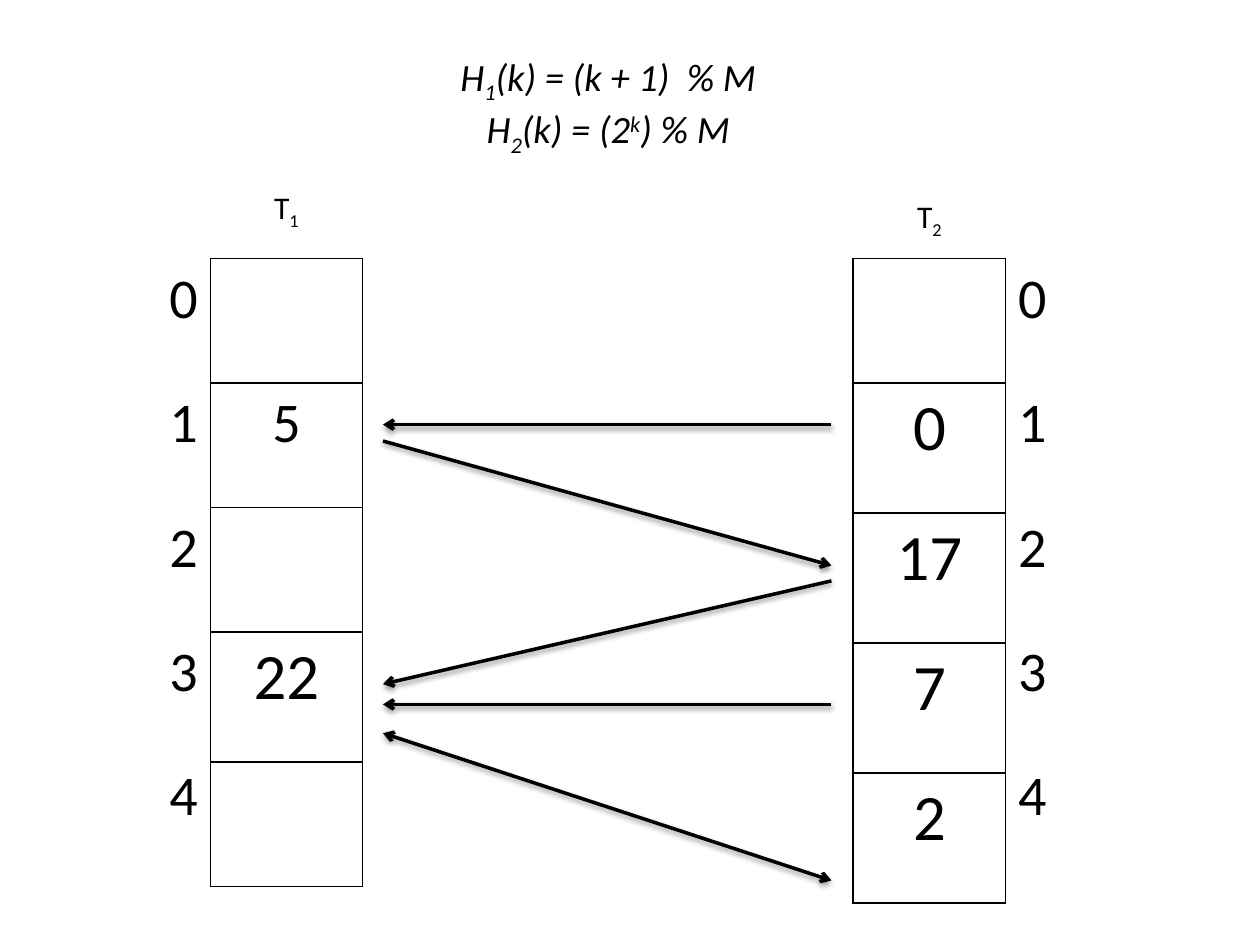
from lxml.etree import SubElement
from pptx import Presentation
from pptx.dml.color import RGBColor
from pptx.enum.shapes import MSO_CONNECTOR
from pptx.enum.text import MSO_AUTO_SIZE, PP_ALIGN as Align
from pptx.oxml import parse_xml
from pptx.oxml.ns import nsdecls, qn
from pptx.util import Cm, Pt

BLACK = RGBColor(0, 0, 0)
PLAIN_GRID = "{2D5ABB26-0587-4C30-8999-92F81FD0307C}"
SUB, SUPER = -25000, 30000


def write(frame, *lines, size, align=Align.CENTER, italic=None):
    for index, line in enumerate(lines):
        paragraph = frame.paragraphs[0] if index == 0 else frame.add_paragraph()
        paragraph.alignment = align
        for words, baseline in line:
            run = paragraph.add_run()
            run.text = words
            run.font.name = "Calibri"
            run.font.size = Pt(size)
            run.font.italic = italic
            run.font.color.rgb = BLACK
            if baseline:
                run.font._element.set("baseline", str(baseline))


deck = Presentation()
deck.slide_width, deck.slide_height = Cm(25.4), Cm(19.05)
slide = deck.slides.add_slide(deck.slide_layouts[6])

column_width, table_top = 3.07, 5.21
short, tall = 2.51, 2.62
first_left, second_left = 4.24, 17.2

hash_one = [("H", 0), ("1", SUB), ("(k) = (k + 1)  % M", 0)]
hash_two = [("H", 0), ("2", SUB), ("(k) = (2", 0), ("k", SUPER), (") % M", 0)]
headings = [
    (7.32, 0.94, 9.88, 2.13, [hash_one, hash_two], 22, True),
    (first_left, 3.66, column_width, 1.02, [[("T", 0), ("1", SUB)]], 18, None),
    (second_left, 3.84, column_width, 1.02, [[("T", 0), ("2", SUB)]], 18, None),
]
for left, top, width, height, lines, size, italic in headings:
    frame = slide.shapes.add_textbox(Cm(left), Cm(top), Cm(width), Cm(height)).text_frame
    frame.word_wrap = True
    frame.auto_size = MSO_AUTO_SIZE.SHAPE_TO_FIT_TEXT
    write(frame, *lines, size=size, italic=italic)

indices = [(str(slot), 32) for slot in range(5)]
first_keys = [("", 0), ("5", 32), ("", 0), ("22", 37), ("", 0)]
second_keys = [("", 0), ("0", 37), ("17", 37), ("7", 37), ("2", 37)]
columns = [
    (first_left, first_keys, Align.CENTER, True),
    (first_left - column_width, indices, Align.RIGHT, False),
    (second_left, second_keys, Align.CENTER, True),
    (second_left + column_width, indices, Align.LEFT, False),
]
for left, entries, align, bordered in columns:
    heights = [tall if size == 37 else short for _, size in entries]
    table = slide.shapes.add_table(
        len(entries), 1, Cm(left), Cm(table_top), Cm(column_width), Cm(sum(heights))
    ).table
    table.first_row = table.horz_banding = False
    table._tbl.tblPr.find(qn("a:tableStyleId")).text = PLAIN_GRID
    for row, height, (key, size) in zip(table.rows, heights, entries):
        row.height = Cm(height)
        cell = row.cells[0]
        if bordered:
            for side in ("lnL", "lnR", "lnT", "lnB"):
                border = SubElement(cell._tc.get_or_add_tcPr(), qn(f"a:{side}"), w=str(Pt(1)))
                fill = SubElement(border, qn("a:solidFill"))
                SubElement(fill, qn("a:srgbClr"), val=str(BLACK))
        cell.fill.background()
        if key:
            write(cell.text_frame, [(key, 0)], size=size, align=align)

near_first, near_second = 7.72, 16.76
moves = [
    (near_first, 8.89, near_second, 11.4, ["tailEnd"]),
    (near_second, 8.56, near_first, 8.56, ["tailEnd"]),
    (near_second, 11.71, near_first, 13.79, ["tailEnd"]),
    (near_second, 17.75, near_first, 14.78, ["headEnd", "tailEnd"]),
    (near_second, 14.2, near_first, 14.2, ["tailEnd"]),
]
for start_x, start_y, end_x, end_y, ends in moves:
    arrow = slide.shapes.add_connector(
        MSO_CONNECTOR.STRAIGHT, Cm(start_x), Cm(start_y), Cm(end_x), Cm(end_y)
    )
    arrow.line.color.rgb = BLACK
    arrow.line.width = Pt(2)
    for end in ends:
        SubElement(arrow.line._get_or_add_ln(), qn(f"a:{end}"), type="arrow")
    arrow._element.spPr.append(parse_xml(
        f'<a:effectLst {nsdecls("a")}>'
        '<a:outerShdw blurRad="40000" dist="20000" dir="5400000" rotWithShape="0">'
        f'<a:srgbClr val="{BLACK}"><a:alpha val="38000"/></a:srgbClr>'
        "</a:outerShdw></a:effectLst>"
    ))

deck.save("out.pptx")
